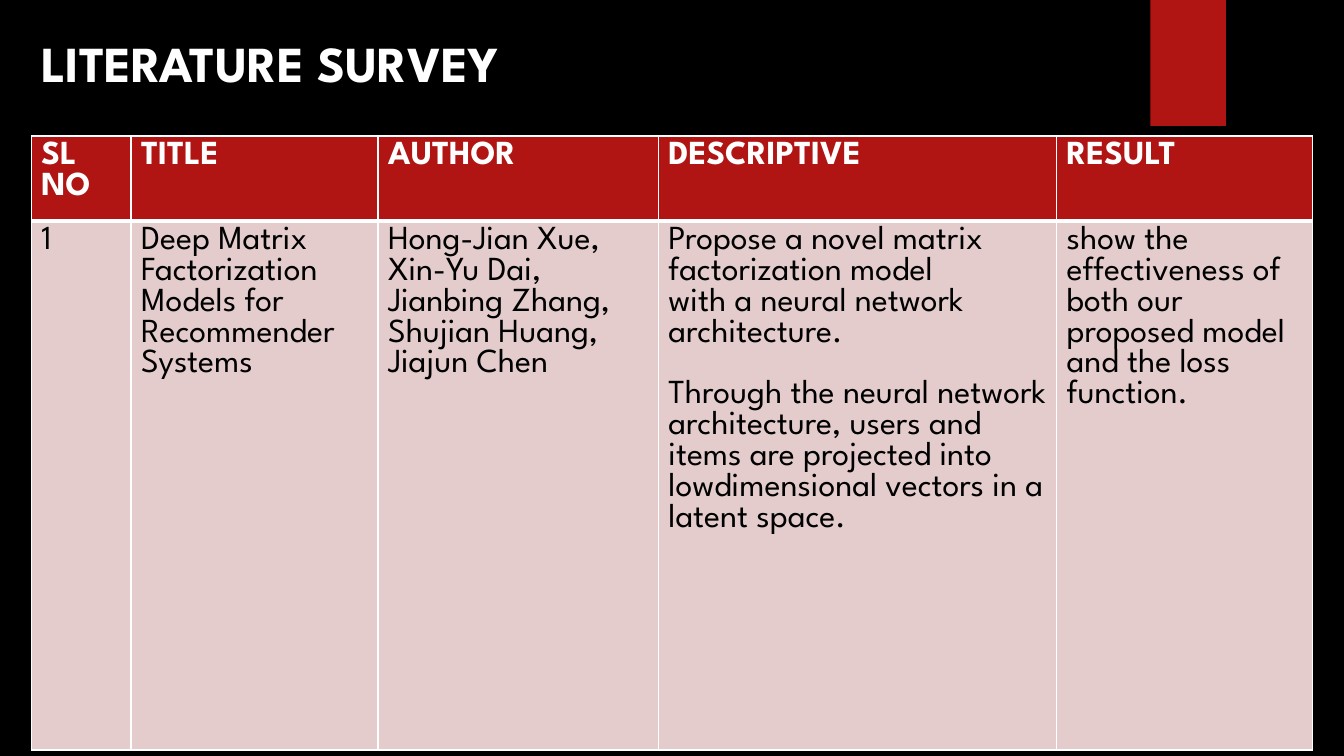
from lxml.etree import SubElement as Sub
from pptx import Presentation
from pptx.dml.color import RGBColor
from pptx.enum.shapes import MSO_SHAPE as Kind
from pptx.enum.text import MSO_ANCHOR as Anchor, PP_ALIGN as Align
from pptx.oxml.ns import qn
from pptx.util import Inches, Pt

RED, PINK, WHITE, BLACK = "B01513", "E4CCCC", "FFFFFF", "000000"
HEAD = ["SL NO", "TITLE", "AUTHOR", "DESCRIPTIVE", "RESULT"]
BODY = [
    "1",
    "Deep Matrix Factorization Models for Recommender Systems",
    "Hong-Jian Xue, Xin-Yu Dai, Jianbing Zhang, Shujian Huang, Jiajun Chen",
    "Propose a novel matrix factorization model\n"
    "with a neural network architecture.\n"
    "Through the neural network architecture, users and items are projected "
    "into lowdimensional vectors in a latent space.",
    "show the effectiveness of both our proposed model and the loss function.",
]


def paint(fill, color):
    fill.solid()
    fill.fore_color.rgb = RGBColor.from_string(color)


def write(frame, text, size=24, color=BLACK, bold=False, font="League Spartan"):
    """Fill a text frame, one paragraph for each line of text."""
    frame.word_wrap = True
    for i, line in enumerate(text.split("\n")):
        par = frame.paragraphs[0] if i == 0 else frame.add_paragraph()
        par.alignment = Align.LEFT
        run = par.add_run()
        run.text = line
        run.font.name, run.font.size, run.font.bold = font, Pt(size), bold
        paint(run.font.fill, color)


class Deck:
    def __init__(self, width, height):
        self.prs = Presentation()
        self.prs.slide_width = Inches(width)
        self.prs.slide_height = Inches(height)

    def start(self, color):
        self.slide = self.prs.slides.add_slide(self.prs.slide_layouts[5])
        paint(self.slide.background.fill, color)

    def title(self, text, left, top, width, height):
        box = self.slide.shapes.title
        box.left, box.top = Inches(left), Inches(top)
        box.width, box.height = Inches(width), Inches(height)
        box.text_frame.vertical_anchor = Anchor.BOTTOM
        write(box.text_frame, text, size=36, color=WHITE, bold=True)

    def block(self, color, *place):
        shape = self.slide.shapes.add_shape(Kind.RECTANGLE, *map(Inches, place))
        shape.shadow.inherit = False
        paint(shape.fill, color)
        shape.line.fill.background()

    def edge(self, cell, **widths):
        """Draw cell borders; sides come in the order L, R, T, B."""
        props = cell._tc.get_or_add_tcPr()
        for i, (side, width) in enumerate(widths.items()):
            line = Sub(props, qn(f"a:ln{side}"), w=str(Pt(width)))
            Sub(Sub(line, qn("a:solidFill")), qn("a:srgbClr"), val=WHITE)
            props.insert(i, line)

    def table(self, rows, left, top, cols, heights):
        grid = self.slide.shapes.add_table(
            len(rows), len(cols), Inches(left), Inches(top),
            Inches(sum(cols)), Inches(sum(heights))).table
        for col, width in zip(grid.columns, cols):
            col.width = Inches(width)
        for r, (row, height) in enumerate(zip(rows, heights)):
            grid.rows[r].height = Inches(height)
            for c, text in enumerate(row):
                cell = grid.cell(r, c)
                head = r == 0
                paint(cell.fill, RED if head else PINK)
                write(cell.text_frame, text, bold=head,
                      color=WHITE if head else BLACK)
                self.edge(cell, L=1, R=1, T=1 if head else 3, B=3 if head else 1)
        return grid


def main():
    deck = Deck(13.33, 7.5)
    deck.start(BLACK)

    # Heading and red tab
    deck.title("LITERATURE SURVEY", 0.31, 0.26, 6.67, 0.71)
    deck.block(RED, 11.41, 0, 0.75, 1.25)

    # Survey table, with a gap of one line before the last point
    grid = deck.table([HEAD, BODY], 0.31, 1.35,
                      [0.99, 2.45, 2.78, 3.95, 2.54], [0.84, 5.25])
    grid.cell(1, 3).text_frame.paragraphs[-1].space_before = Pt(22)

    deck.prs.save("out.pptx")


if __name__ == "__main__":
    main()
